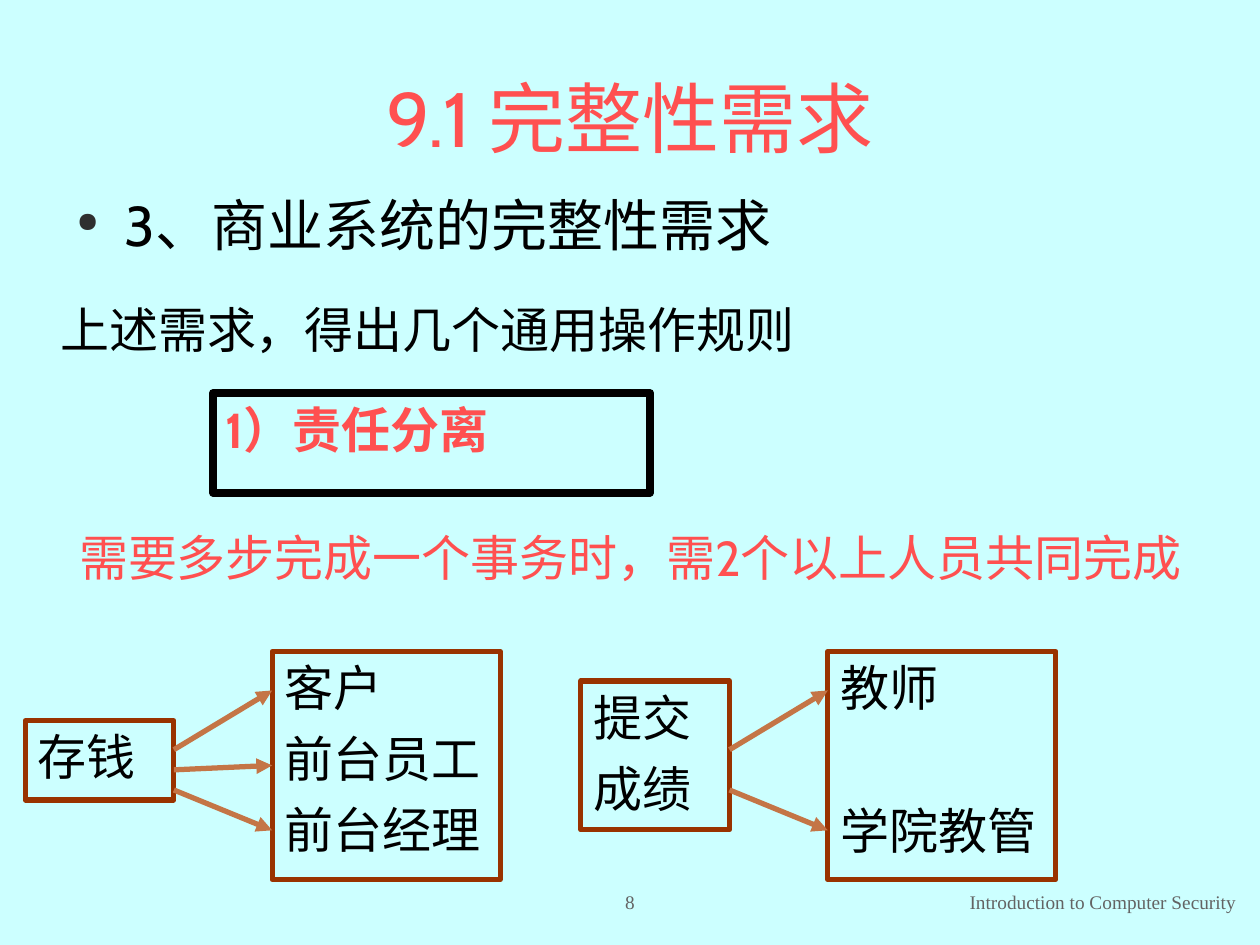
import dataclasses

import lxml.etree
import pptx
import pptx.dml.color
import pptx.enum.shapes
import pptx.enum.text
import pptx.oxml
import pptx.oxml.ns
import pptx.util

Inches = pptx.util.Inches
Pt = pptx.util.Pt
RGB = pptx.dml.color.RGBColor.from_string
ALIGN = pptx.enum.text.PP_ALIGN
ANCHOR = pptx.enum.text.MSO_ANCHOR
qn = pptx.oxml.ns.qn


@dataclasses.dataclass(frozen=True)
class Theme:
    background: str = "CCFFFF"
    ink: str = "000000"
    accent: str = "FF5050"
    frame: str = "993300"
    arrow: str = "C47546"
    muted: str = "636363"
    bullet: str = "2F2F2F"
    face: str = "Cabin"
    footer_face: str = "Times New Roman"
    title_size: int = 44
    topic_size: int = 32
    body_size: int = 28
    footer_size: int = 11
    paragraph_gap: int = 7
    stroke: int = 3
    rule_stroke: float = 4.5


THEME = Theme()


def apply(target, values):
    for name, value in values.items():
        setattr(target, name, value)


def write(holder, lines, size=THEME.body_size, color=THEME.ink, face=THEME.face,
          bold=False, align=ALIGN.LEFT, anchor=ANCHOR.TOP, gap=THEME.paragraph_gap):
    frame = holder.text_frame
    apply(frame, {"word_wrap": True, "vertical_anchor": anchor,
                  "auto_size": pptx.enum.text.MSO_AUTO_SIZE.NONE})
    for index, line in enumerate(lines):
        paragraph = frame.paragraphs[0] if index == 0 else frame.add_paragraph()
        paragraph.text = line
        apply(paragraph, {"alignment": align, "space_before": Pt(gap if index else 0)})
        apply(paragraph.font, {"size": Pt(size), "name": face, "bold": bold})
        paragraph.font.color.rgb = RGB(color)


def add_text(slide, box, line, indent=0, **style):
    holder = slide.shapes.add_textbox(*map(Inches, box))
    properties = holder.text_frame.paragraphs[0]._p.get_or_add_pPr()
    properties.set("marL", str(Inches(indent)))
    write(holder, [line], **style)
    return holder


def add_frame(slide, box, lines, color=THEME.frame, stroke=THEME.stroke, **style):
    frame = slide.shapes.add_shape(
        pptx.enum.shapes.MSO_SHAPE.RECTANGLE, *map(Inches, box))
    frame.shadow.inherit = False
    frame.fill.background()
    frame.line.color.rgb = RGB(color)
    frame.line.width = Pt(stroke)
    write(frame, lines, **style)
    return frame


def add_arrow(slide, start, end):
    arrow = slide.shapes.add_connector(
        pptx.enum.shapes.MSO_CONNECTOR.STRAIGHT, *map(Inches, start + end))
    arrow.line.color.rgb = RGB(THEME.arrow)
    arrow.line.width = Pt(THEME.stroke)
    lxml.etree.SubElement(arrow.line._get_or_add_ln(), qn("a:tailEnd"), type="triangle")
    lxml.etree.SubElement(arrow._element.spPr, qn("a:effectLst"))
    return arrow


def place_title(slide, box):
    title = slide.shapes.title
    apply(title, dict(zip(("left", "top", "width", "height"), map(Inches, box))))
    write(title, ["9.1 完整性需求"], size=THEME.title_size, color=THEME.accent,
          align=ALIGN.CENTER, anchor=ANCHOR.MIDDLE)


def place_topic(slide, box):
    topic = slide.shapes.add_textbox(*map(Inches, box))
    properties = topic.text_frame.paragraphs[0]._p.get_or_add_pPr()
    apply_indent = {"marL": Inches(0.38), "indent": -Inches(0.38)}
    for name, value in apply_indent.items():
        properties.set(name, str(value))
    bullet_color = lxml.etree.SubElement(properties, qn("a:buClr"))
    lxml.etree.SubElement(bullet_color, qn("a:srgbClr"), val=THEME.bullet)
    lxml.etree.SubElement(properties, qn("a:buSzPct"), val="50000")
    lxml.etree.SubElement(properties, qn("a:buChar"), char="●")
    write(topic, ["3、商业系统的完整性需求"], size=THEME.topic_size)


def place_rule(slide, box):
    left, top, width, height = box
    add_text(slide, (left, top, width, height), "上述需求，得出几个通用操作规则", indent=0.26)
    add_frame(slide, (left + 1.57, top + 0.79, 3.47, height), ["1）责任分离"],
              color=THEME.ink, stroke=THEME.rule_stroke,
              size=THEME.body_size, bold=True).text_frame.paragraphs[0].font.color.rgb = RGB(THEME.accent)
    add_text(slide, (left + 0.15, top + 1.81, width, height),
             "需要多步完成一个事务时，需2个以上人员共同完成", indent=0.26, color=THEME.accent)


def place_duty(slide, box, task, task_height, roles, role_gap=THEME.paragraph_gap):
    left, top, width, height = box
    task_width, roles_width = 1.18, 1.81
    task_right, roles_left = left + task_width, left + width - roles_width
    middle = top + height / 2
    center = middle - 0.04 if len(roles) == 3 else middle - 0.08
    add_frame(slide, (left, center - task_height / 2, task_width, task_height), task)
    roles_frame = add_frame(slide, (roles_left, top, roles_width, height), roles, gap=role_gap)
    add_arrow(slide, (task_right, top + 0.78), (roles_left, top + 0.31))
    if len(roles) == 3:
        middle_arrow = add_arrow(slide, (task_right, top + 0.94), (roles_left, middle))
        middle_arrow.end_connect(roles_frame, 1)
    add_arrow(slide, (task_right, top + 1.1), (roles_left, top + 1.42))


def place_footer(slide, box):
    left, top, width, height = box
    style = {"size": THEME.footer_size, "face": THEME.footer_face,
             "color": THEME.muted, "anchor": ANCHOR.MIDDLE}
    add_text(slide, (left, top, 1, height), "8", align=ALIGN.CENTER, **style)
    add_text(slide, (left + 1.33, top, width - 1.33, height),
             "Introduction to Computer Security", align=ALIGN.RIGHT, **style)


def main():
    deck = pptx.Presentation()
    apply(deck, {"slide_width": Inches(10), "slide_height": Inches(7.5)})
    slide = deck.slides.add_slide(deck.slide_layouts[5])
    slide.background.fill.solid()
    slide.background.fill.fore_color.rgb = RGB(THEME.background)
    place_title(slide, (0.5, 0.3, 9, 1.25))
    place_topic(slide, (0.51, 1.46, 9, 0.82))
    place_rule(slide, (0.12, 2.33, 9.45, 0.79))
    place_duty(slide, (0.2, 5.17, 3.77, 1.81), ["存钱"], 0.63,
               ["客户", "前台员工", "前台经理"])
    place_duty(slide, (4.61, 5.17, 3.77, 1.81), ["提交", "成绩"], 1.18,
               ["教师", "学院教管"], role_gap=48)
    place_footer(slide, (4.5, 7, 5.41, 0.31))
    deck.save("out.pptx")


if __name__ == "__main__":
    main()
